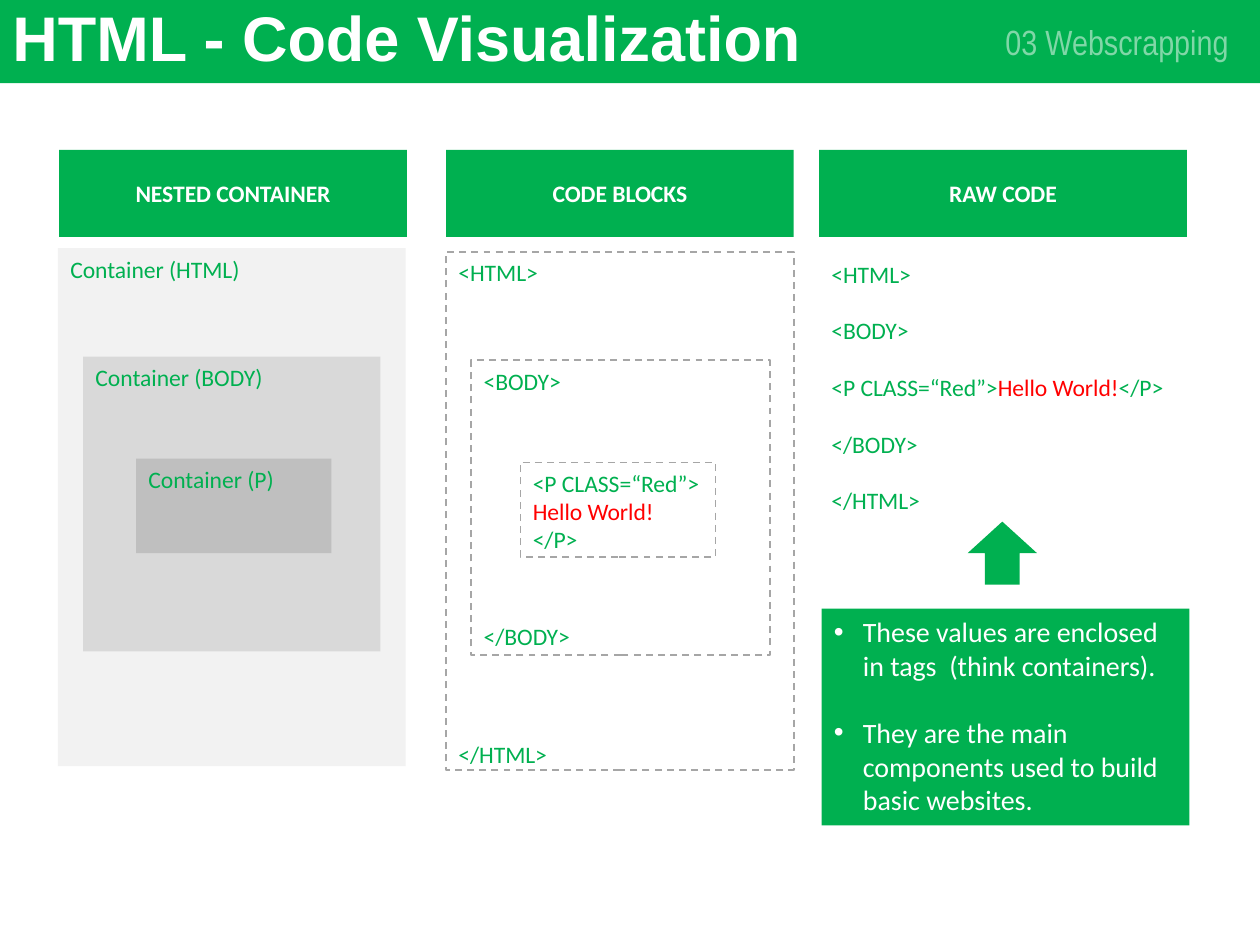
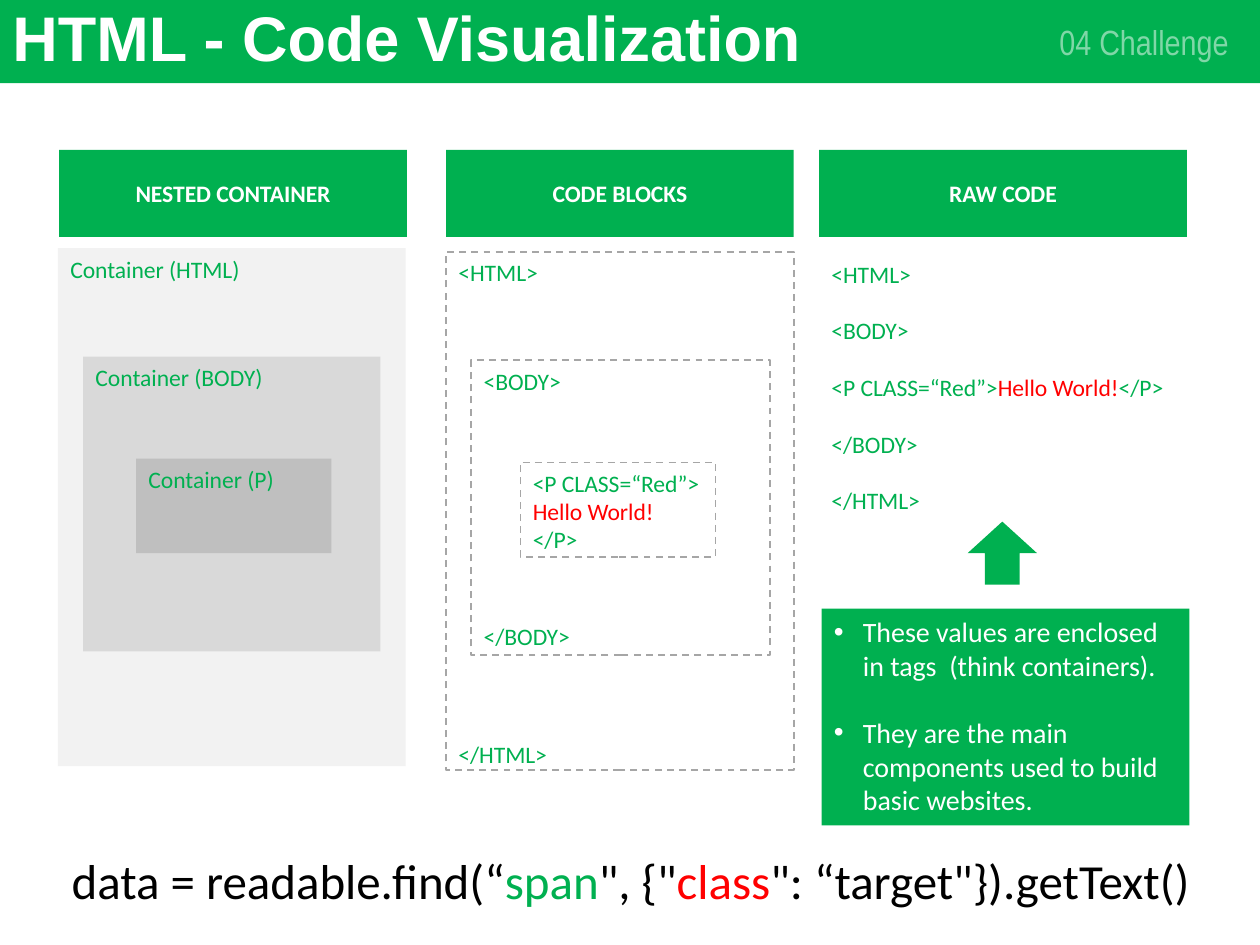
"""Build two slides that show HTML as nested containers, code blocks and raw code."""
from lxml.etree import SubElement
from pptx import Presentation
from pptx.dml.color import RGBColor
from pptx.enum.dml import MSO_LINE
from pptx.enum.shapes import MSO_SHAPE
from pptx.enum.text import MSO_ANCHOR, PP_ALIGN
from pptx.oxml.ns import qn
from pptx.util import Emu, Pt

PX = 9144
LINE_HEIGHT = 1.2
CODE_SIZE = 13.5
NOTE_SIZE = 16
COLORS = {
    "green": "00B050",
    "red": "FF0000",
    "white": "FFFFFF",
    "black": "000000",
    "dash": "A6A6A6",
    "outer": "F2F2F2",
    "middle": "D9D9D9",
    "inner": "BFBFBF",
}

HEADERS = [
    ("NESTED CONTAINER", 47, 276),
    ("CODE BLOCKS", 354, 276),
    ("RAW CODE", 650, 292),
]
CONTAINERS = [
    ("Container (HTML)", "outer", (46, 197, 276, 411)),
    ("Container (BODY)", "middle", (66, 283, 236, 234)),
    ("Container (P)", "inner", (108, 364, 155, 75)),
]
GREETING = [
    ("<P CLASS=“Red”>", "green"),
    ("Hello World!", "red"),
    ("</P>", "green"),
]
CODE_BLOCKS = [
    ([[("<HTML>", "green")], [("</HTML>", "green")]], 16, (354, 200, 276, 411)),
    ([[("<BODY>", "green")], [("</BODY>", "green")]], 8, (374, 286, 237, 234)),
    ([[part] for part in GREETING], 0, (413, 367, 155, 75)),
]
RAW_CODE = [
    [("<HTML>", "green")],
    [("<BODY>", "green")],
    GREETING,
    [("</BODY>", "green")],
    [("</HTML>", "green")],
]
NOTES = [
    "These values are enclosed in tags  (think containers).",
    "They are the main components used to build basic websites.",
]
FIND_CALL = [
    ("data = readable.find(“", "black"),
    ("span", "green"),
    ('", {"', "black"),
    ("class", "red"),
    ('": “target"}).getText()', "black"),
]
SLIDES = [("03 Webscrapping", None), ("04 Challenge", FIND_CALL)]


def add_box(page, place, fill=None, kind=MSO_SHAPE.RECTANGLE):
    """Add a filled shape, or a dashed outline when no fill is given."""
    box = page.shapes.add_shape(kind, *[Emu(length * PX) for length in place])
    box.shadow.inherit = False
    if fill:
        box.fill.solid()
        box.fill.fore_color.rgb = RGBColor.from_string(COLORS[fill])
        box.line.fill.background()
    else:
        box.fill.background()
        box.line.color.rgb = RGBColor.from_string(COLORS["dash"])
        box.line.width = Pt(1)
        box.line.dash_style = MSO_LINE.DASH
    return box


def write(box, paragraphs, size=CODE_SIZE, font="Calibri", bold=False,
          align=PP_ALIGN.LEFT, anchor=MSO_ANCHOR.TOP, gap_lines=0):
    """Fill a box with paragraphs of (text, color) runs, set apart by a gap in lines."""
    frame = box.text_frame
    frame.word_wrap = True
    frame.vertical_anchor = anchor
    for index, runs in enumerate(paragraphs):
        para = frame.add_paragraph() if index else frame.paragraphs[0]
        para.alignment = align
        if index and gap_lines:
            para.space_before = Pt(gap_lines * size * LINE_HEIGHT)
        for text, color in runs:
            span = para.add_run()
            span.text = text
            span.font.size = Pt(size)
            span.font.name = font
            span.font.bold = bold
            span.font.color.rgb = RGBColor.from_string(COLORS[color])
    return frame


deck = Presentation()
deck.slide_width = Emu(1000 * PX)
deck.slide_height = Emu(750 * PX)

for section, code_line in SLIDES:
    page = deck.slides.add_slide(deck.slide_layouts[6])
    add_box(page, (0, 0, 1000, 66), "green")

    title = page.shapes.add_textbox(0, 0, Emu(862 * PX), Emu(66 * PX))
    frame = write(title, [[("HTML - Code Visualization", "white")]], 36, "Arial",
                  bold=True, anchor=MSO_ANCHOR.MIDDLE)
    frame.paragraphs[0].line_spacing = 0.9

    label = page.shapes.add_textbox(Emu(776 * PX), Emu(13 * PX), Emu(209 * PX), Emu(40 * PX))
    frame = write(label, [[(section, "white")]], 20, "Arial Narrow",
                  align=PP_ALIGN.RIGHT, anchor=MSO_ANCHOR.MIDDLE)
    for tint in frame.paragraphs[0].runs[0].font._element.iter(qn("a:srgbClr")):
        SubElement(tint, qn("a:alpha"), val="50000")

    for heading, left, width in HEADERS:
        box = add_box(page, (left, 119, width, 69), "green")
        write(box, [[(heading, "white")]], bold=True,
              align=PP_ALIGN.CENTER, anchor=MSO_ANCHOR.MIDDLE)

    for name, shade, place in CONTAINERS:
        write(add_box(page, place, shade), [[(name, "green")]])

    for lines, gap_lines, place in CODE_BLOCKS:
        write(add_box(page, place), lines, gap_lines=gap_lines)

    raw_code = page.shapes.add_textbox(Emu(650 * PX), Emu(201 * PX), Emu(292 * PX), Emu(215 * PX))
    write(raw_code, RAW_CODE, gap_lines=1)
    add_box(page, (768, 414, 55, 50), "green", MSO_SHAPE.UP_ARROW)

    notes = add_box(page, (652, 483, 292, 172), "green")
    frame = write(notes, [[(note, "white")] for note in NOTES], NOTE_SIZE, gap_lines=1)
    for para in frame.paragraphs:
        properties = para._p.get_or_add_pPr()
        properties.set("marL", str(23 * PX))
        properties.set("indent", str(-23 * PX))
        SubElement(properties, qn("a:buFont"), typeface="Arial")
        SubElement(properties, qn("a:buChar"), char="•")

    if code_line:
        call = page.shapes.add_textbox(Emu(1 * PX), Emu(670 * PX), Emu(999 * PX), Emu(57 * PX))
        write(call, [code_line], 28, align=PP_ALIGN.CENTER)

deck.save("out.pptx")
